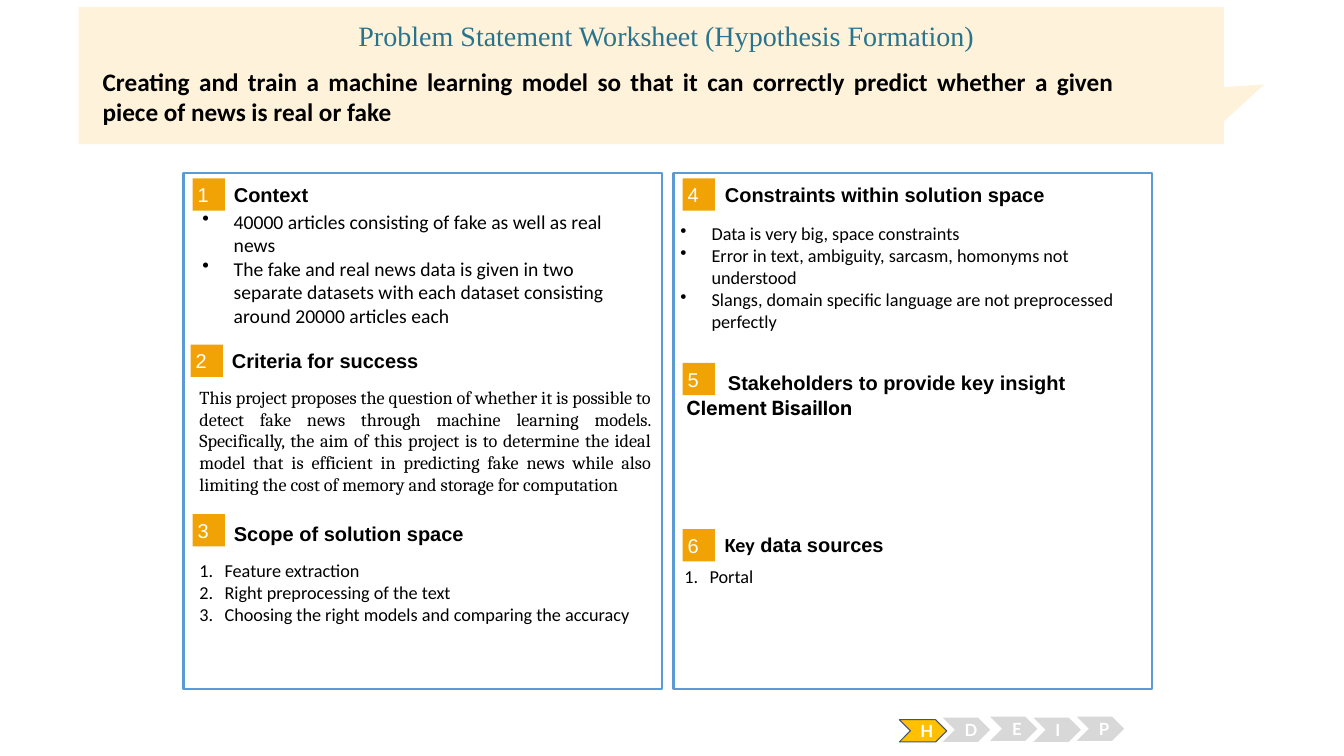
"""Build the problem statement worksheet slide."""
from lxml import etree
from pptx import Presentation
from pptx.dml.color import RGBColor
from pptx.enum.shapes import MSO_SHAPE
from pptx.enum.text import MSO_ANCHOR, PP_ALIGN
from pptx.oxml.ns import qn
from pptx.util import Inches, Pt

RECTANGLE, CHEVRON = MSO_SHAPE.RECTANGLE, MSO_SHAPE.CHEVRON
CALLOUT = MSO_SHAPE.RECTANGULAR_CALLOUT
TOP, MIDDLE = MSO_ANCHOR.TOP, MSO_ANCHOR.MIDDLE
LEFT, CENTER, JUSTIFY = PP_ALIGN.LEFT, PP_ALIGN.CENTER, PP_ALIGN.JUSTIFY

COLORS = {"white": "FFFFFF", "black": "000000", "panel": "5B9BD5", "badge": "F1A205",
          "banner": "FEF2DA", "title": "29748D", "active": "FFC000",
          "active_line": "44546A", "inactive": "D8D8D8"}

TITLE = "Problem Statement Worksheet (Hypothesis Formation)"
STATEMENT = ("Creating and train a machine learning model so that it can correctly "
             "predict whether a given piece of news is real or fake")

PANEL_LEFTS = [1.82, 6.68]
BADGE_SIZE = 0.32

HEADINGS = [
    ("1", (1.91, 1.77), (2.32, 1.8), [("Context", "Arial")]),
    ("2", (1.89, 3.42), (2.3, 3.45), [("Criteria for success", "Arial")]),
    ("3", (1.91, 5.1), (2.32, 5.17), [("Scope of solution space", "Arial")]),
    ("4", (6.77, 1.77), (7.19, 1.8), [("Constraints within solution space", "Arial")]),
    ("5", (6.77, 3.6), (7.22, 3.67), [("Stakeholders to provide key insight", "Arial")]),
    ("6", (6.77, 5.25), (7.19, 5.28), [("Key", "Calibri"), (" data sources", "Arial")]),
]

BULLET = {"tag": "a:buChar", "attribute": ("char", "•"), "indent": 0.31}
NUMBER = {"tag": "a:buAutoNum", "attribute": ("type", "arabicPeriod"), "indent": 0.25}

BODIES = [
    ((0.92, 0.61, 10.23, 0.8), [STATEMENT],
     {"size": 18, "font": "Calibri", "bold": True, "align": JUSTIFY}),
    ((1.91, 2.03, 4.55, 1.33),
     ["40000 articles consisting of fake as well as real news",
      "The fake and real news data is given in two separate datasets with each "
      "dataset consisting around 20000 articles each"],
     {"size": 14, "font": "Calibri", "marker": BULLET}),
    ((1.88, 3.78, 4.67, 1.52),
     ["This project proposes the question of whether it is possible to detect fake "
      "news through machine learning models. Specifically, the aim of this project is "
      "to determine the ideal model that is efficient in predicting fake news while "
      "also limiting the cost of memory and storage for computation"],
     {"size": 13, "font": "Cambria", "align": JUSTIFY}),
    ((1.88, 5.5, 4.73, 0.82),
     ["Feature extraction", "Right preprocessing of the text",
      "Choosing the right models and comparing the accuracy"],
     {"size": 13, "font": "Calibri", "marker": NUMBER}),
    ((6.65, 2.16, 4.76, 1.37),
     ["Data is very big, space constraints",
      "Error in text, ambiguity, sarcasm, homonyms not understood",
      "Slangs, domain specific language are not preprocessed perfectly"],
     {"size": 13, "font": "Calibri", "marker": BULLET}),
    ((6.71, 3.88, 4.73, 1.27), ["Clement Bisaillon"],
     {"size": 14, "font": "Inter", "bold": True}),
    ((6.69, 5.56, 4.73, 1.18), ["Portal"],
     {"size": 13, "font": "Calibri", "marker": NUMBER}),
]

STAGES = [("H", 8.92, 7.14, 0.22), ("D", 9.35, 7.12, 0.24), ("E", 9.82, 7.11, 0.24),
          ("I", 10.25, 7.12, 0.24), ("P", 10.68, 7.11, 0.24)]


def color(name):
    return RGBColor.from_string(COLORS[name])


def place(shape, box):
    for name, value in zip(("left", "top", "width", "height"), box):
        setattr(shape, name, Inches(value))


def add_marker(paragraph, marker):
    properties = paragraph._p.get_or_add_pPr()
    properties.set("marL", str(Inches(marker["indent"])))
    properties.set("indent", str(-Inches(marker["indent"])))
    element = etree.SubElement(properties, qn(marker["tag"]))
    element.set(*marker["attribute"])


def write(shape, paragraphs, size, ink="black", bold=False, align=LEFT, anchor=TOP,
          insets=(0.1, 0.05), marker=None):
    """Fill a shape with paragraphs, each a list of (text, font) runs."""
    frame = shape.text_frame
    horizontal, vertical = map(Inches, insets)
    settings = {"word_wrap": True, "vertical_anchor": anchor,
                "margin_left": horizontal, "margin_right": horizontal,
                "margin_top": vertical, "margin_bottom": vertical}
    for name, value in settings.items():
        setattr(frame, name, value)
    for index, runs in enumerate(paragraphs):
        paragraph = frame.add_paragraph() if index else frame.paragraphs[0]
        paragraph.alignment = align
        if marker:
            add_marker(paragraph, marker)
        for text, font in runs:
            run = paragraph.add_run()
            run.text = text
            for name, value in {"name": font, "size": Pt(size), "bold": bold}.items():
                setattr(run.font, name, value)
            run.font.color.rgb = color(ink)


def add_block(slide, kind, box, fill, line=None, line_width=0.75):
    shape = slide.shapes.add_shape(kind, *map(Inches, box))
    shape.shadow.inherit = False
    shape.fill.solid()
    shape.fill.fore_color.rgb = color(fill)
    if line:
        shape.line.color.rgb = color(line)
        shape.line.width = Pt(line_width)
    else:
        shape.line.fill.background()
    return shape


def add_text(slide, box, paragraphs, **style):
    write(slide.shapes.add_textbox(*map(Inches, box)), paragraphs, **style)


def add_banner(slide):
    callout = add_block(slide, CALLOUT, (0.78, 0.07, 11.36, 1.36), "banner")
    callout.adjustments[0], callout.adjustments[1] = 0.535, 0.066
    title = slide.shapes.title
    callout._element.addnext(title._element)
    place(title, (1.8, 0.18, 9.62, 0.34))
    write(title, [[(TITLE, "Times New Roman")]], 20, ink="title", align=CENTER,
          insets=(0, 0))


def add_headings(slide):
    for number, badge_corner, heading_corner, runs in HEADINGS:
        badge = add_block(slide, RECTANGLE, (*badge_corner, BADGE_SIZE, BADGE_SIZE), "badge")
        write(badge, [[(number, "Arial")]], 14.3, ink="white", anchor=MIDDLE,
              insets=(0.05, 0.05))
        add_text(slide, (*heading_corner, 3.93, 0.25), [runs], size=14.3, bold=True,
                 anchor=MIDDLE, insets=(0, 0))


def add_stages(slide):
    for index, (letter, left, top, height) in enumerate(STAGES):
        fill, line = ("inactive", None) if index else ("active", "active_line")
        chevron = add_block(slide, CHEVRON, (left, top, 0.47, height), fill, line)
        write(chevron, [[(letter, "Lato")]], 12, ink="white", bold=True, align=CENTER,
              anchor=MIDDLE)


def main():
    presentation = Presentation()
    presentation.slide_width, presentation.slide_height = Inches(13.33), Inches(7.5)
    slide = presentation.slides.add_slide(presentation.slide_layouts[5])
    add_banner(slide)
    for left in PANEL_LEFTS:
        add_block(slide, RECTANGLE, (left, 1.72, 4.75, 5.12), "white", "panel", 1.5)
    add_headings(slide)
    for box, lines, style in BODIES:
        options = dict(style)
        font = options.pop("font")
        add_text(slide, box, [[(line, font)] for line in lines], **options)
    add_stages(slide)
    presentation.save("out.pptx")


if __name__ == "__main__":
    main()
